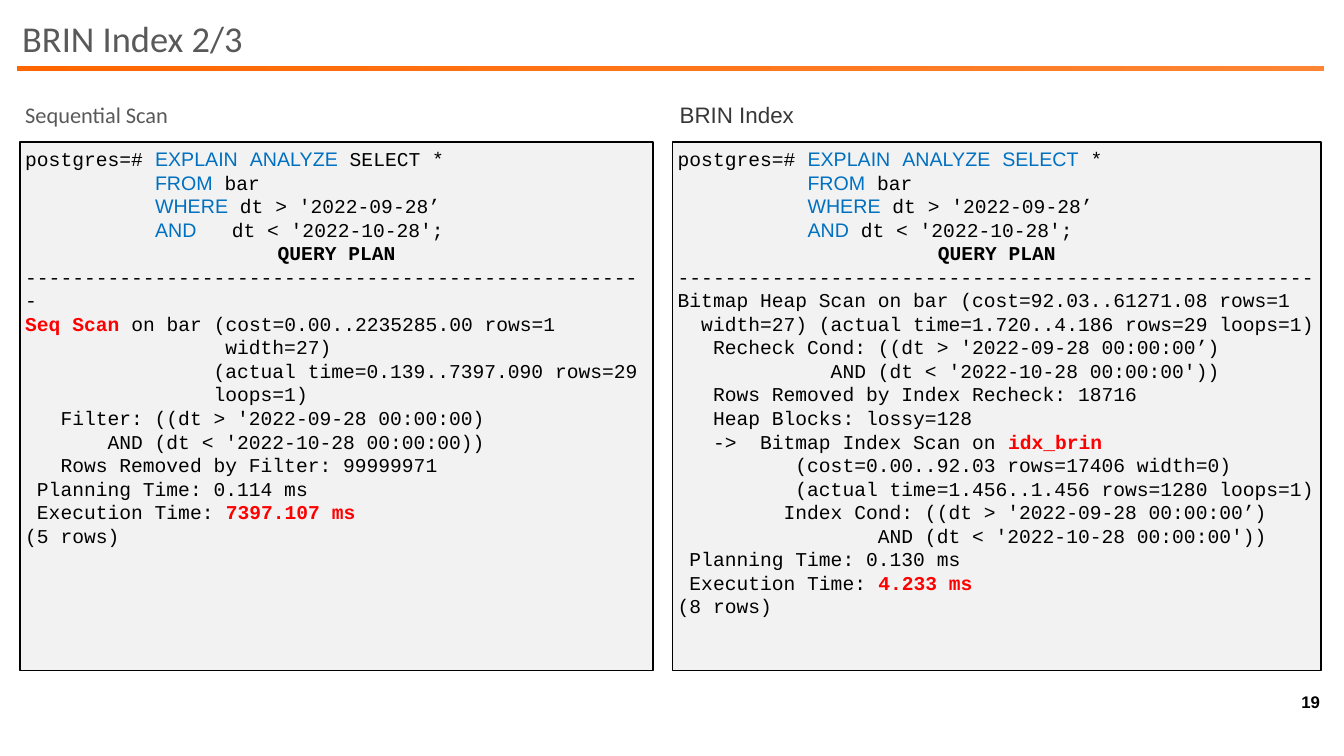
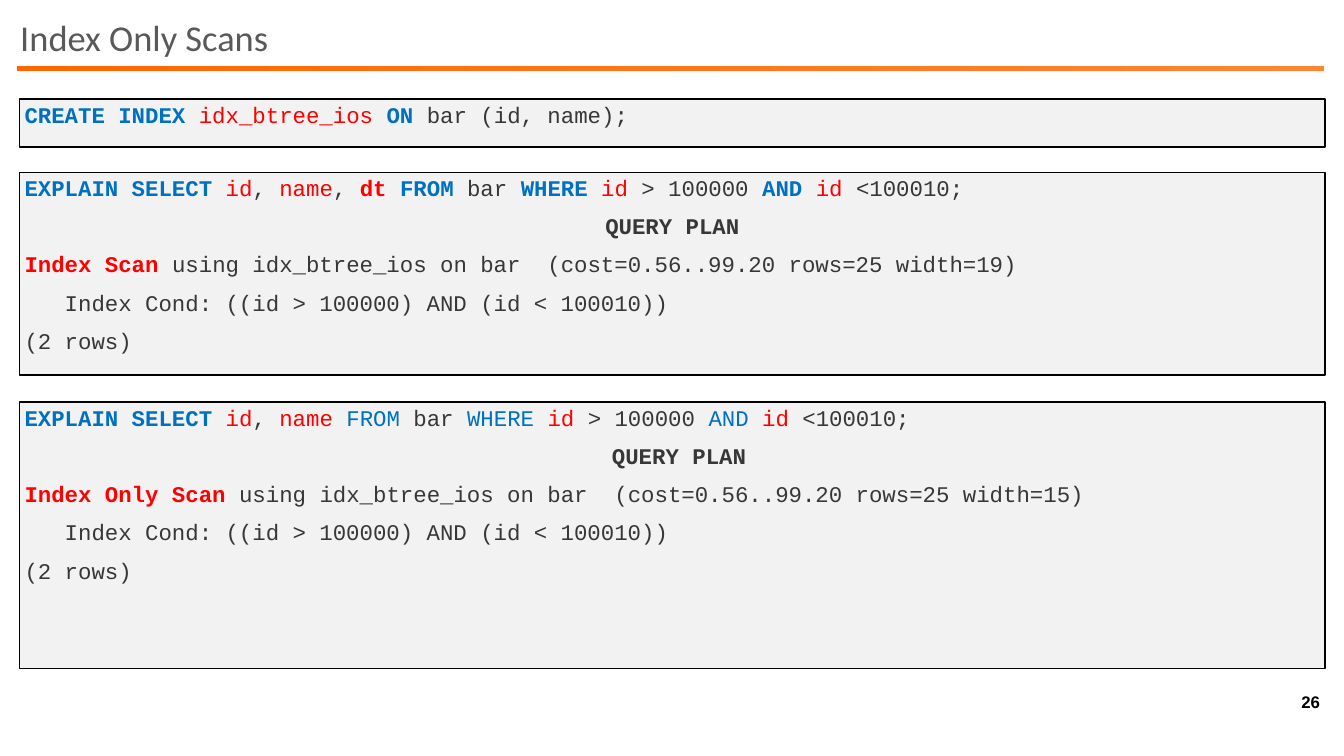
"""Two slides on index scans, drawn on a grid of 100 columns by 100 rows."""
from dataclasses import dataclass

from pptx import Presentation
from pptx import util as u
from pptx.dml.color import RGBColor
from pptx.enum import shapes, text


@dataclass(frozen=True)
class Theme:
    """Colours, fonts and type sizes."""
    black: str = "000000"
    ink: str = "373737"
    grey: str = "595959"
    blue: str = "0070C0"
    red: str = "FF0000"
    panel: str = "F2F2F2"
    bar: tuple = ("FF6600", "FE8534")
    sans: str = "Arial"
    head: str = "Calibri"
    mono: str = "Courier New"
    title: int = 26
    label: int = 16
    code: int = 14
    page: int = 12


T = Theme()
MARKS = {
    "k": dict(font=T.sans, color=T.blue),
    "b": dict(color=T.blue),
    "B": dict(color=T.blue, bold=True),
    "r": dict(color=T.red),
    "R": dict(color=T.red, bold=True),
    "H": dict(bold=True),
}


def tint(color):
    """Turn a hex string into a colour."""
    return RGBColor.from_string(color)


def write(para, words, font=T.sans, size=T.label, color=T.black, bold=False):
    """Add one formatted run to a paragraph."""
    run = para.add_run()
    run.text = words
    run.font.name, run.font.size, run.font.bold = font, u.Pt(size), bold
    run.font.color.rgb = tint(color)


def markup(para, line, **base):
    """Write a line in which |mark:words| takes the format of its mark."""
    for i, part in enumerate(line.split("|")):
        if i % 2:
            mark, part = part.split(":", 1)
            write(para, part, **{**base, **MARKS[mark]})
        elif part:
            write(para, part, **base)


class Deck:
    """Holds the file, the current slide and a method for each element."""

    def __init__(self, wide=13.33, high=7.5):
        """Start an empty file of the given size in inches."""
        self.file = Presentation()
        self.file.slide_width = u.Inches(wide)
        self.file.slide_height = u.Inches(high)
        self.slide = None

    def place(self, col, row, cols, rows):
        """Turn grid cells into lengths."""
        wide, high = self.file.slide_width, self.file.slide_height
        return [u.Emu(round(n * side / 100)) for n, side in
                ((col, wide), (row, high), (cols, wide), (rows, high))]

    def frame(self, shape, anchor=text.MSO_ANCHOR.TOP):
        """Give a shape the shared text margins."""
        tf = shape.text_frame
        tf.word_wrap, tf.vertical_anchor = True, anchor
        tf.auto_size = text.MSO_AUTO_SIZE.NONE
        tf.margin_left = tf.margin_right = u.Inches(0.05)
        tf.margin_top = tf.margin_bottom = u.Inches(0.05)
        return tf

    def rect(self, *cells):
        """Add a plain rectangle."""
        shape = self.slide.shapes.add_shape(
            shapes.MSO_SHAPE.RECTANGLE, *self.place(*cells))
        shape.shadow.inherit = False
        return shape

    def page(self, title, number, col, row):
        """Add a slide with its bar, title and number."""
        self.slide = self.file.slides.add_slide(self.file.slide_layouts[5])
        bar = self.rect(1.28, 8.67, 97.22, 0.67)
        bar.line.fill.background()
        bar.fill.gradient()
        bar.fill.gradient_angle = 0
        for stop, color in zip(bar.fill.gradient_stops, T.bar):
            stop.color.rgb = tint(color)
        head = self.slide.shapes.title
        head.left, head.top, head.width, head.height = self.place(
            col, row, 97.45, 10.53)
        para = self.frame(head, text.MSO_ANCHOR.MIDDLE).paragraphs[0]
        para.alignment, para.line_spacing = text.PP_ALIGN.LEFT, 0.9
        write(para, title, font=T.head, size=T.title, color=T.grey)
        para = self.label(str(number), 96.35, 91.33, 2.35, 3.33,
                          anchor=text.MSO_ANCHOR.MIDDLE,
                          size=T.page, bold=True)
        para.alignment = text.PP_ALIGN.CENTER

    def label(self, words, *cells, anchor=text.MSO_ANCHOR.TOP, **look):
        """Add a one-line text box."""
        box = self.slide.shapes.add_textbox(*self.place(*cells))
        para = self.frame(box, anchor).paragraphs[0]
        para.line_spacing = 0.9
        write(para, words, **look)
        return para

    def code(self, lines, *cells, gap=0, lead=1.0, **look):
        """Add a code panel; a line that starts with ^ is centred."""
        box = self.rect(*cells)
        box.fill.solid()
        box.fill.fore_color.rgb = tint(T.panel)
        box.line.color.rgb, box.line.width = tint(T.black), u.Pt(1)
        tf = self.frame(box)
        for i, line in enumerate(lines.strip("\n").split("\n")):
            para = tf.add_paragraph() if i else tf.paragraphs[0]
            mid = line.startswith("^")
            para.alignment = (text.PP_ALIGN.CENTER if mid
                              else text.PP_ALIGN.LEFT)
            para.line_spacing = lead
            para.space_before = u.Pt(gap if i else 0)
            markup(para, line[mid:], font=T.mono, **look)


SEQ = """
postgres=# |k:EXPLAIN| |k:ANALYZE| SELECT *
           |k:FROM| bar
           |k:WHERE| dt > '2022-09-28’
           |k:AND|   dt < '2022-10-28';
^|H:QUERY PLAN|
-----------------------------------------------------
|R:Seq Scan| on bar (cost=0.00..2235285.00 rows=1
                 width=27)
                (actual time=0.139..7397.090 rows=29
                loops=1)
   Filter: ((dt > '2022-09-28 00:00:00)
       AND (dt < '2022-10-28 00:00:00))
   Rows Removed by Filter: 99999971
 Planning Time: 0.114 ms
 Execution Time: |R:7397.107 ms|
(5 rows)
"""

BRIN = """
postgres=# |k:EXPLAIN| |k:ANALYZE| |k:SELECT| *
           |k:FROM| bar
           |k:WHERE| dt > '2022-09-28’
           |k:AND| dt < '2022-10-28';
^|H:QUERY PLAN|
------------------------------------------------------
Bitmap Heap Scan on bar (cost=92.03..61271.08 rows=1
  width=27) (actual time=1.720..4.186 rows=29 loops=1)
   Recheck Cond: ((dt > '2022-09-28 00:00:00’)
             AND (dt < '2022-10-28 00:00:00'))
   Rows Removed by Index Recheck: 18716
   Heap Blocks: lossy=128
   ->  Bitmap Index Scan on |R:idx_brin|
          (cost=0.00..92.03 rows=17406 width=0)
          (actual time=1.456..1.456 rows=1280 loops=1)
         Index Cond: ((dt > '2022-09-28 00:00:00’)
                 AND (dt < '2022-10-28 00:00:00'))
 Planning Time: 0.130 ms
 Execution Time: |R:4.233 ms|
(8 rows)
"""

MAKE = "|B:CREATE INDEX ||r:idx_btree_ios ||B:ON| bar (id, name);"

TAIL = """
   Index Cond: ((id > 100000) AND (id < 100010))
(2 rows)
"""

FULL = """
|B:EXPLAIN SELECT ||r:id|, |r:name|, |R:dt ||B:FROM| bar |B:WHERE ||r:id| > 100000 |B:AND ||r:id| <100010;
^|H:QUERY PLAN|
|R:Index Scan| using idx_btree_ios on bar  (cost=0.56..99.20 rows=25 width=19)""" + TAIL

ONLY = """
|B:EXPLAIN SELECT ||r:id|, |r:name ||b:FROM| bar |b:WHERE ||r:id| > 100000 |b:AND ||r:id| <100010;
^|H: QUERY PLAN|
|R:Index Only Scan| using idx_btree_ios on bar  (cost=0.56..99.20 rows=25 width=15)""" + TAIL


def brin(deck):
    """Compare the sequential scan with the BRIN index."""
    deck.page("BRIN Index 2/3", 19, 1.28, 0.13)
    deck.label("Sequential Scan", 1.5, 13.07, 47.1, 5.6,
               font=T.head, color=T.grey)
    deck.label("BRIN Index", 50.2, 13.07, 47.1, 5.6, color=T.ink)
    for lines, col, cols in ((SEQ, 1.5, 47.1), (BRIN, 50.05, 48.25)):
        deck.code(lines, col, 18.8, cols, 69.87, size=T.code)


def only(deck):
    """Show the index only scan."""
    deck.page("Index Only Scans", 26, 1.13, 0)
    for lines, row, rows in ((MAKE, 13.07, 6.4), (FULL, 22.8, 26.8),
                             (ONLY, 53.2, 35.2)):
        deck.code(lines, 1.45, row, 97.15, rows, gap=10, lead=0.9,
                  size=T.label, color=T.ink)


def main():
    """Build and save the slides."""
    deck = Deck()
    brin(deck)
    only(deck)
    deck.file.save("out.pptx")


if __name__ == "__main__":
    main()
